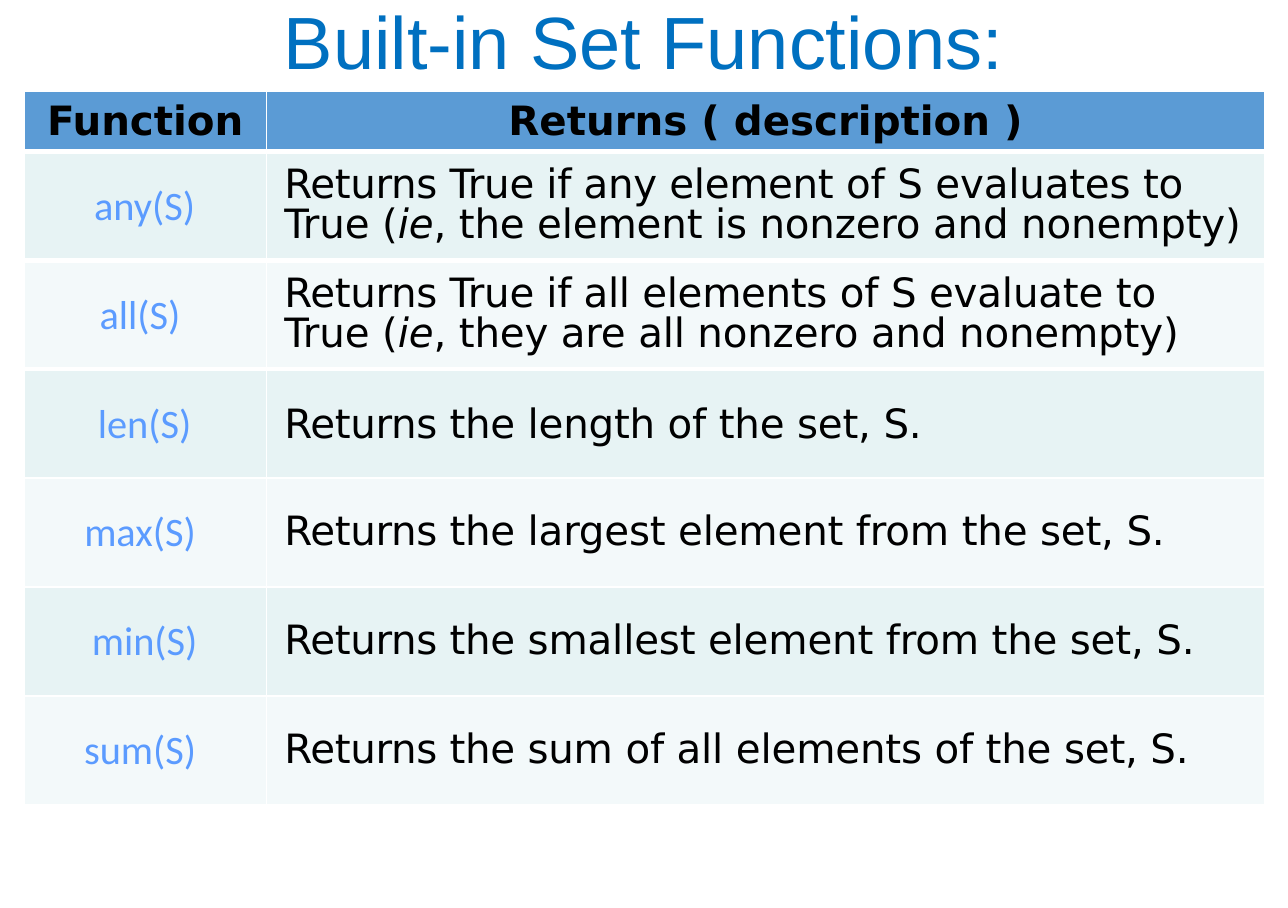
from lxml.etree import SubElement
from pptx import Presentation
from pptx.dml.color import RGBColor
from pptx.enum.text import MSO_ANCHOR as Anchor, MSO_AUTO_SIZE as AutoSize, PP_ALIGN as Align
from pptx.oxml.ns import qn
from pptx.util import Inches, Pt

COLORS = {"title": "0070C0", "header": "5B9BD5", "odd": "E7F3F4", "even": "F3F9FA",
          "name": "5B9BFF", "text": "000000", "border": "FFFFFF"}
HEADINGS = ["Function", "Returns ( description )"]
FUNCTIONS = [
    ("any(S)", ["Returns True if any element ", "of S evaluates to True (", "ie",
                ", the element is nonzero and nonempty)"]),
    ("all(S) ", ["Returns True if all elements ", "of S evaluate to", "\n", "True (", "ie",
                 ", they are all nonzero and nonempty)"]),
    ("len(S)", ["Returns the ", "length of the set, S."]),
    ("max(S) ", ["Returns the", " largest element from the set, S."]),
    ("min(S)", ["Returns the", " smallest element from the set, S."]),
    ("sum(S) ", ["Returns the ", "sum of all elements of the set, S."]),
]


def add_span(para, text, color, **formats):
    span = para.add_run()
    span.text = text
    span.font.color.rgb = RGBColor.from_string(COLORS[color])
    for name, value in formats.items():
        setattr(span.font, name, value)
    return span


def style_cell(cell, fill, top, bottom, left_inset):
    properties = cell._tc.get_or_add_tcPr()
    for side, width in {"lnL": 1, "lnR": 1, "lnT": top, "lnB": bottom}.items():
        line = SubElement(properties, qn(f"a:{side}"), w=str(Pt(width)))
        SubElement(SubElement(line, qn("a:solidFill")), qn("a:srgbClr"), val=COLORS["border"])
    cell.fill.solid()
    cell.fill.fore_color.rgb = RGBColor.from_string(COLORS[fill])
    formats = {"vertical_anchor": Anchor.MIDDLE, "margin_left": Inches(left_inset),
               "margin_right": Inches(0.01), "margin_top": Inches(0.01), "margin_bottom": 0}
    for name, value in formats.items():
        setattr(cell, name, value)
    return cell.text_frame.paragraphs[0]


deck = Presentation()
deck.slide_width, deck.slide_height = Inches(10.64), Inches(7.5)
page = deck.slides.add_slide(deck.slide_layouts[5])

title = page.shapes.title
title_box = {"left": 0.07, "top": 0, "width": 10.5, "height": 0.75}
for name, value in title_box.items():
    setattr(title, name, Inches(value))
title.text_frame.auto_size = AutoSize.NONE
title.text_frame.vertical_anchor = Anchor.MIDDLE
para = title.text_frame.paragraphs[0]
para.alignment, para.line_spacing = Align.CENTER, 0.9
add_span(para, "Built-in Set Functions:", "title", name="Arial", size=Pt(44))

frame = page.shapes.add_table(len(FUNCTIONS) + 1, len(HEADINGS),
                              Inches(0.2), Inches(0.75), Inches(10.25), Inches(5.9))
table = frame.table
table.horz_banding = False
table.first_row = False
for column, width in zip(table.columns, [2, 8.25]):
    column.width = Inches(width)
for index, row in enumerate(table.rows):
    row.height = Inches(0.9 if index else 0.5)

for column, heading in enumerate(HEADINGS):
    para = style_cell(table.cell(0, column), "header", 1, 3, 0.01)
    para.alignment = Align.CENTER
    add_span(para, heading, "text", name="DejaVu Sans", size=Pt(24), bold=True)

for index, (function, pieces) in enumerate(FUNCTIONS, start=1):
    fill = "odd" if index % 2 else "even"
    top = 3 if index <= 3 else 1
    bottom = 3 if index <= 2 else 1

    para = style_cell(table.cell(index, 0), fill, top, bottom, 0)
    para.alignment = Align.CENTER
    add_span(para, function, "name", name="Calibri", size=Pt(24), bold=False)

    para = style_cell(table.cell(index, 1), fill, top, bottom, 0.15)
    para.line_spacing = 1.0 if function == "len(S)" else 0.85
    for position, piece in enumerate(pieces):
        if piece == "\n":
            para.add_line_break()
            continue
        span = add_span(para, piece, "text", name="DejaVu Sans", size=Pt(24),
                        bold=False, italic=piece == "ie")
        span.font._element.set("spc", "-10" if position else "-20")

deck.save("out.pptx")
